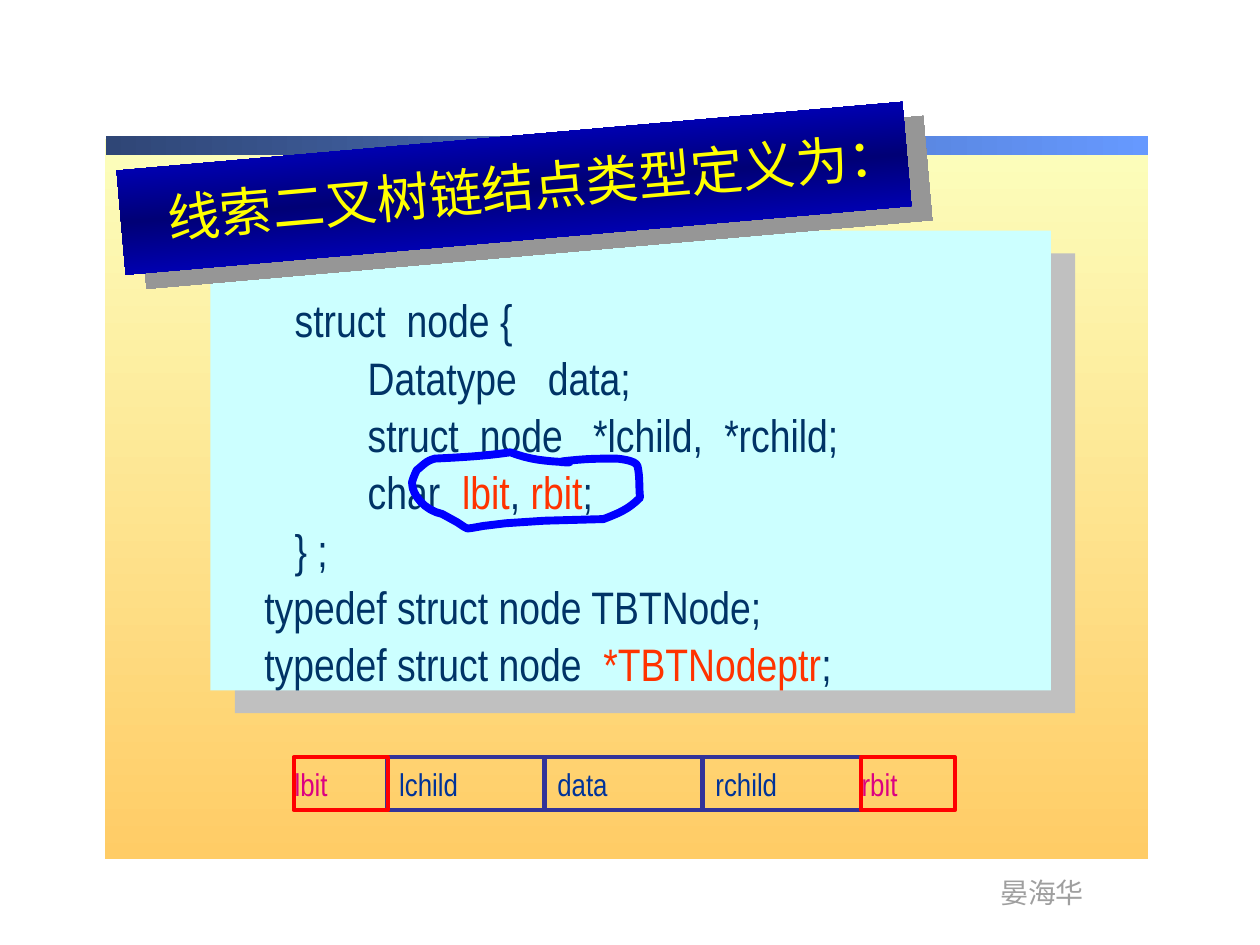
from dataclasses import dataclass

from lxml.etree import SubElement
from pptx import Presentation
from pptx.dml.color import RGBColor
from pptx.enum.shapes import MSO_SHAPE
from pptx.enum.text import MSO_ANCHOR, MSO_AUTO_SIZE, PP_ALIGN
from pptx.oxml.ns import qn
from pptx.util import Inches, Pt


@dataclass(frozen=True)
class Theme:
    latin: str = "Arial Narrow"
    chinese: str = "Noto Sans CJK SC"
    background: tuple = ("FCFEBC", "FFCC66")
    bar: tuple = ("2F4676", "6699FF")
    banner: tuple = ("0000FF", "000076", "0000FF")
    banner_shadow: str = "969696"
    panel: str = "CCFFFF"
    panel_shadow: str = "C0C0C0"
    title: str = "FFFF00"
    title_shadow: str = "000000"
    code: str = "003366"
    highlight: str = "FF3300"
    author: str = "9F9F9F"
    field: str = "003399"
    field_line: str = "333399"
    flag: str = "DC0081"
    flag_line: str = "FF0000"
    loop: str = "0000FF"
    title_size: int = 30
    code_size: int = 26
    field_size: int = 18
    author_size: int = 16


def add_color(parent, color):
    SubElement(parent, qn("a:srgbClr"), val=color)


def add_shadow(properties, color, distance, angle):
    effects = properties.find(qn("a:effectLst"))
    if effects is None:
        effects = SubElement(properties, qn("a:effectLst"))
    shadow = SubElement(effects, qn("a:outerShdw"), dist=str(Pt(distance)),
                        dir=str(angle * 60000), algn="ctr", rotWithShape="0")
    add_color(shadow, color)


def write_text(paragraph, text, *, font, size, color, shadow=None):
    run = paragraph.add_run()
    run.text = text
    run.font.size = Pt(size)
    run.font.bold = False
    run.font.color.rgb = RGBColor.from_string(color)
    properties = run.font._element
    if shadow:
        add_shadow(properties, shadow, 2.5, 45)
    run.font.name = font
    latin = properties.find(qn("a:latin"))
    east_asian = SubElement(properties, qn("a:ea"), typeface=Theme.chinese)
    latin.addnext(east_asian)


def set_tabs(paragraph, positions):
    tabs = SubElement(paragraph._p.get_or_add_pPr(), qn("a:tabLst"))
    for position in positions:
        SubElement(tabs, qn("a:tab"), pos=str(Inches(position)), algn="l")


def sample_curves(start, curves, steps=8):
    for first, second, end in curves:
        for step in range(1, steps + 1):
            t = step / steps
            weights = ((1 - t) ** 3, 3 * t * (1 - t) ** 2, 3 * t ** 2 * (1 - t), t ** 3)
            corners = (start, first, second, end)
            yield tuple(Inches(sum(weight * corner[axis] for weight, corner in zip(weights, corners)))
                        for axis in (0, 1))
        start = end


class SlideBuilder:
    def __init__(self, slide, theme):
        self.slide = slide
        self.theme = theme

    def rectangle(self, box, fill=None, gradient=None, angle=0, line=None, rotation=0, shadow=None):
        shape = self.slide.shapes.add_shape(MSO_SHAPE.RECTANGLE, *map(Inches, box))
        shape.rotation = rotation
        shape.shadow.inherit = False
        if gradient:
            self.gradient(shape, gradient, angle)
        elif fill:
            shape.fill.solid()
            shape.fill.fore_color.rgb = RGBColor.from_string(fill)
        else:
            shape.fill.background()
        self.outline(shape, line)
        if shadow:
            add_shadow(shape._element.spPr, *shadow)
        return shape

    def gradient(self, shape, colors, angle):
        shape.fill.gradient()
        shape.fill.gradient_angle = (360 - angle) % 360
        stops = shape._element.spPr.find(qn("a:gradFill")).find(qn("a:gsLst"))
        for stop in list(stops):
            stops.remove(stop)
        for index, color in enumerate(colors):
            position = 100000 * index // (len(colors) - 1)
            add_color(SubElement(stops, qn("a:gs"), pos=str(position)), color)

    def outline(self, shape, color, width=2.25):
        if color:
            shape.line.color.rgb = RGBColor.from_string(color)
            shape.line.width = Pt(width)
        else:
            shape.line.fill.background()

    def text_box(self, box, wrap=True):
        frame = self.slide.shapes.add_textbox(*map(Inches, box)).text_frame
        frame.word_wrap = wrap
        return frame

    def title(self, text, box, rotation):
        title = self.slide.shapes.title
        title.left, title.top, title.width, title.height = map(Inches, box)
        title.rotation = rotation
        frame = title.text_frame
        frame.word_wrap = False
        frame.auto_size = MSO_AUTO_SIZE.NONE
        frame.vertical_anchor = MSO_ANCHOR.TOP
        paragraph = frame.paragraphs[0]
        paragraph.alignment = PP_ALIGN.LEFT
        write_text(paragraph, text, font=self.theme.chinese, size=self.theme.title_size,
                   color=self.theme.title, shadow=self.theme.title_shadow)
        title._element.getparent().append(title._element)

    def code(self, lines, box):
        frame = self.text_box(box)
        for index, (tabs, parts) in enumerate(lines):
            paragraph = frame.add_paragraph() if index else frame.paragraphs[0]
            paragraph.line_spacing = 1.05
            set_tabs(paragraph, tabs)
            for position, part in enumerate(parts):
                color = self.theme.highlight if position % 2 else self.theme.code
                write_text(paragraph, part, font=self.theme.latin,
                           size=self.theme.code_size, color=color)

    def label(self, frame, text, color):
        frame.word_wrap = True
        frame.vertical_anchor = MSO_ANCHOR.MIDDLE
        paragraph = frame.paragraphs[0]
        paragraph.alignment = PP_ALIGN.LEFT
        write_text(paragraph, text, font=self.theme.latin, size=self.theme.field_size, color=color)

    def loop(self, start, curves):
        builder = self.slide.shapes.build_freeform(*map(Inches, start))
        builder.add_line_segments(list(sample_curves(start, curves)), close=True)
        shape = builder.convert_to_shape()
        shape.shadow.inherit = False
        shape.fill.background()
        self.outline(shape, self.theme.loop, 4.5)


CODE_LINES = [
    ((0.24, 1.13), ["\tstruct\tnode {"]),
    ((0.82, 2.25), ["\tDatatype\tdata;"]),
    ((0.82, 1.71, 2.61, 3.65), ["\tstruct\tnode\t*lchild,\t*rchild;"]),
    ((0.82, 1.57), ["\tchar\t", "lbit", ", ", "rbit", ";"]),
    ((0.24,), ["\t} ;"]),
    ((), ["typedef struct node TBTNode;"]),
    ((2.69,), ["typedef struct node\t", "*TBTNodeptr", ";"]),
]
LOOP_START = (4.52, 3.67)
LOOP_CURVES = [
    ((4.32, 3.66), (4.21, 3.65), (4.05, 3.59)),
    ((3.85, 3.62), (3.66, 3.63), (3.45, 3.64)),
    ((3.38, 3.66), (3.36, 3.69), (3.31, 3.73)),
    ((3.3, 3.74), (3.27, 3.82), (3.27, 3.83)),
    ((3.27, 3.93), (3.37, 4.05), (3.51, 4.08)),
    ((3.95, 4.3), (3.28, 4.14), (4.79, 4.12)),
    ((4.92, 4.07), (4.99, 4.04), (5.08, 3.95)),
    ((5.07, 3.86), (5.08, 3.78), (5.06, 3.7)),
    ((5.05, 3.65), (4.89, 3.64), (4.89, 3.64)),
    ((4.79, 3.64), (4.69, 3.64), (4.58, 3.65)),
    ((4.35, 3.67), (4.49, 3.67), (4.52, 3.67)),
]


def main():
    theme = Theme()
    presentation = Presentation()
    presentation.slide_width, presentation.slide_height = Inches(10), Inches(7.5)
    builder = SlideBuilder(presentation.slides.add_slide(presentation.slide_layouts[5]), theme)

    builder.rectangle((0.83, 1.1, 8.28, 5.72), gradient=theme.background, angle=90)
    builder.rectangle((0.84, 1.08, 8.27, 0.15), gradient=theme.bar)
    author = builder.text_box((7.84, 6.9, 0.87, 0.37), wrap=False)
    write_text(author.paragraphs[0], "晏海华", font=theme.latin, size=theme.author_size, color=theme.author)

    builder.rectangle((1.67, 1.83, 6.67, 3.65), fill=theme.panel, shadow=(theme.panel_shadow, 19.1, 43))
    builder.code(CODE_LINES, (2, 2.25, 6, 3.32))
    builder.rectangle((0.95, 1.08, 6.26, 0.83), gradient=theme.banner, angle=90, rotation=355,
                      shadow=(theme.banner_shadow, 14.4, 34))
    builder.title("线索二叉树链结点类型定义为：", (1.22, 1.17, 6.03, 0.6), 355)

    top, height = 6.01, 0.42
    for index, name in enumerate(("lchild", "data", "rchild")):
        cell = builder.rectangle((3.07 + 1.255 * index, top, 1.25, height), line=theme.field_line)
        builder.label(cell.text_frame, name, theme.field)
    for name, left in (("lbit", 2.33), ("rbit", 6.83)):
        builder.label(builder.text_box((left - 0.09, top, 0.92, height)), name, theme.flag)
        builder.rectangle((left, top, 0.75, height), line=theme.flag_line)
    builder.loop(LOOP_START, LOOP_CURVES)

    presentation.save("out.pptx")


if __name__ == "__main__":
    main()
